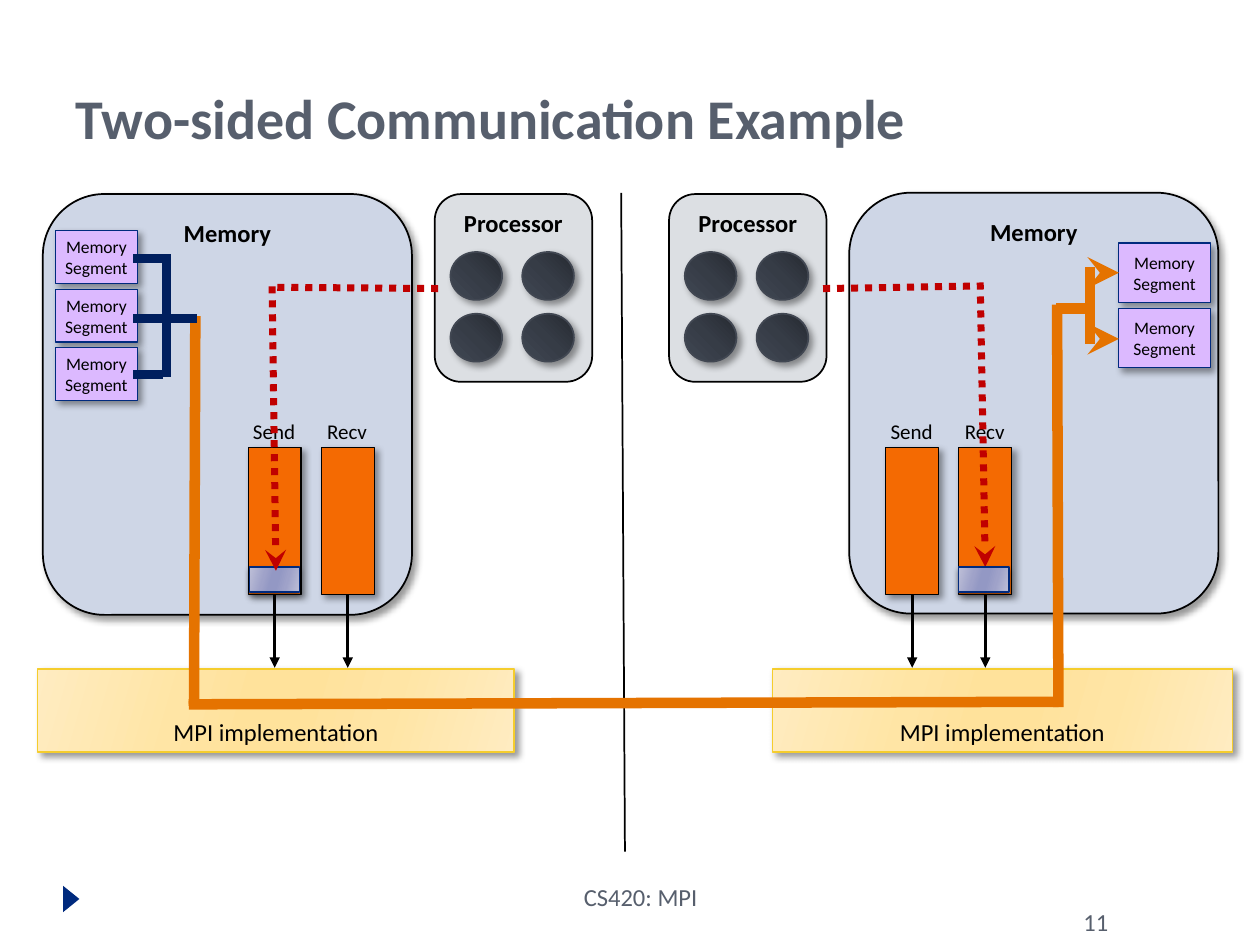
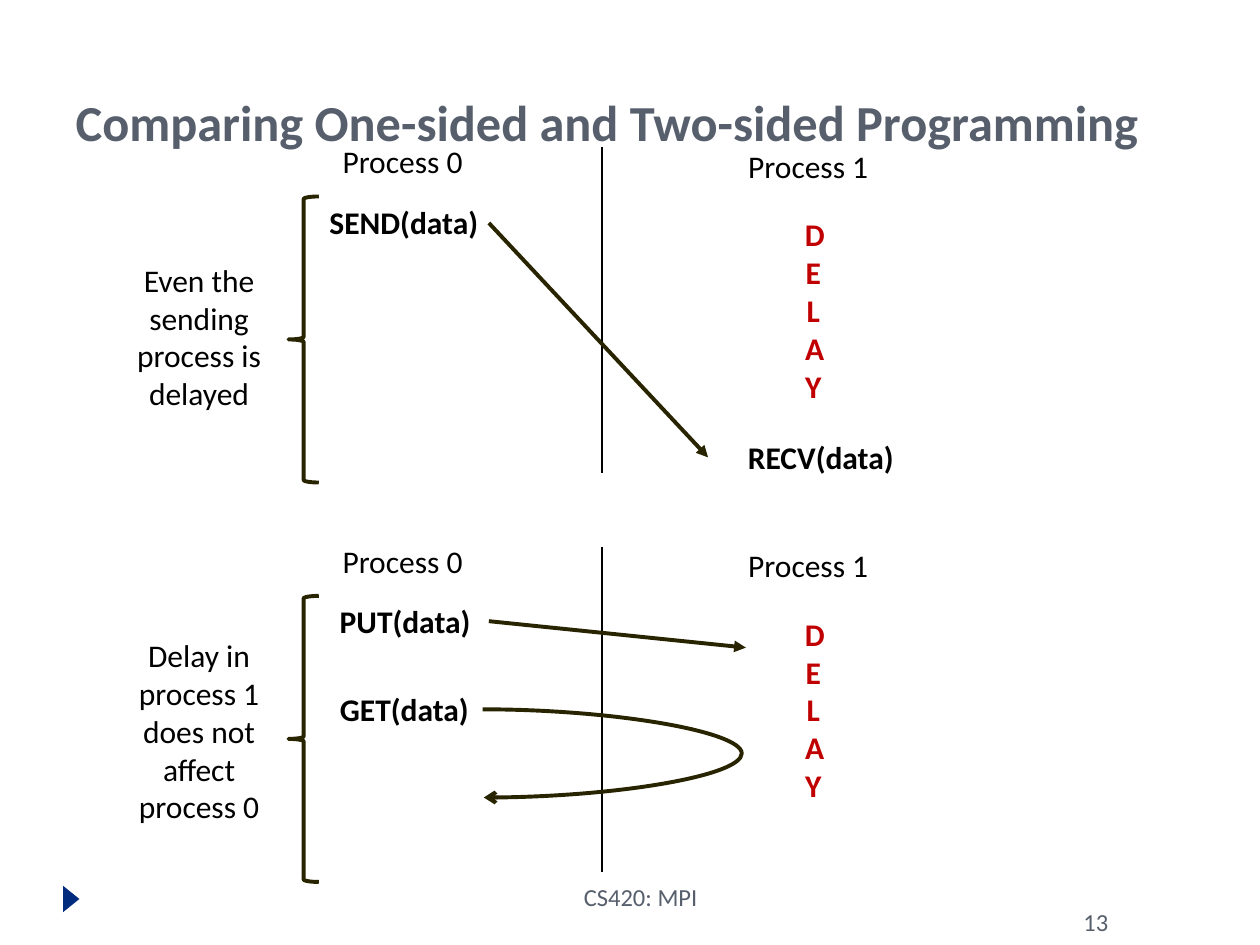
from dataclasses import dataclass
from lxml import etree
from pptx import Presentation
from pptx import util as u
from pptx.dml.color import RGBColor
from pptx.enum import shapes, text
from pptx.oxml.ns import qn

COLUMNS, ROWS = 100, 75
TITLE_ONLY = 5
FORM = shapes.MSO_SHAPE
TOP, MIDDLE, BOTTOM = (text.MSO_ANCHOR.TOP, text.MSO_ANCHOR.MIDDLE,
                       text.MSO_ANCHOR.BOTTOM)
LEFT, CENTER = text.PP_ALIGN.LEFT, text.PP_ALIGN.CENTER


def glow(edge, mid, center):
    return 16, [(0, edge), (30, mid), (45, center), (55, center), (73, mid), (100, edge)]


@dataclass(frozen=True)
class Theme:
    font: str = "Calibri"
    ink: str = "000000"
    heading: str = "575F6D"
    navy: str = "002A7E"
    wire: str = "001F5E"
    memory: str = "CED6E6"
    processor: str = "DCDFE3"
    segment: str = "DCB9FF"
    queue: str = "F46A02"
    cable: str = "E57300"
    alert: str = "C00000"
    olive: str = "292400"
    gold: str = "F5CD2D"
    core_edge: str = "414752"
    mpi: tuple = glow("FFECC1", "FFE5A5", "FFE29B")
    message: tuple = glow("BEC0D8", "9FA2C9", "9398C4")
    core: tuple = (135, [(0, "262A31"), (50, "363C46"), (100, "404753")])
    soft: tuple = (4, 3, 45)
    drop: tuple = (3, 2, 90)
    title_size: float = 32
    long_title_size: float = 28.8
    body_size: float = 18
    label_size: float = 14
    queue_size: float = 12
    segment_size: float = 10


class Deck:
    def __init__(self, theme):
        self.theme = theme
        self.show = Presentation()
        self.show.slide_width, self.show.slide_height = u.Inches(10), u.Inches(7.5)
        self.slide = None

    def grid(self, *values):
        steps = (self.show.slide_width / COLUMNS, self.show.slide_height / ROWS)
        return [round(value * steps[i % 2]) for i, value in enumerate(values)]

    def new_slide(self, title, number, size):
        self.slide = self.show.slides.add_slide(self.show.slide_layouts[TITLE_ONLY])
        heading = self.slide.shapes.title
        heading.left, heading.top, heading.width, heading.height = self.grid(5, 2.5, 90, 10)
        self.set_words(heading, title, size, self.theme.heading, True, LEFT, BOTTOM, True)
        marker = self.shape(FORM.ISOSCELES_TRIANGLE, (4.6, 70.7, 2.1, 1.3), self.theme.navy)
        marker.rotation = 90
        small = self.theme.label_size
        self.label(str(number), (85, 71.5, 10.8, 2.7), small, self.theme.heading,
                   align=LEFT, wrap=True, grow=False)
        self.label("CS420: MPI", (31.7, 69.5, 38.3, 4), small, self.theme.heading,
                   wrap=True, grow=False)

    def set_words(self, holder, words, size, color=None, bold=False, align=CENTER,
                  anchor=TOP, wrap=False, grow=False):
        frame = holder.text_frame
        frame.text = words
        frame.word_wrap = wrap
        frame.auto_size = (text.MSO_AUTO_SIZE.SHAPE_TO_FIT_TEXT if grow
                           else text.MSO_AUTO_SIZE.NONE)
        frame.vertical_anchor = anchor
        for paragraph in frame.paragraphs:
            paragraph.alignment = align
            font = paragraph.font
            font.name, font.size, font.bold = self.theme.font, u.Pt(size), bold
            font.color.rgb = RGBColor.from_string(color or self.theme.ink)

    def label(self, words, box, size, color=None, bold=False, align=CENTER,
              wrap=False, grow=True):
        holder = self.slide.shapes.add_textbox(*self.grid(*box))
        self.set_words(holder, words, size, color, bold, align, TOP, wrap, grow)

    def shape(self, form, box, fill=None, edge=None, weight=0.75, shadow=None):
        part = self.slide.shapes.add_shape(form, *self.grid(*box))
        part.shadow.inherit = False
        if fill is None:
            part.fill.background()
        elif isinstance(fill, str):
            part.fill.solid()
            part.fill.fore_color.rgb = RGBColor.from_string(fill)
        else:
            self.gradient(part, *fill)
        if edge:
            part.line.color.rgb = RGBColor.from_string(edge)
            part.line.width = u.Pt(weight)
        else:
            part.line.fill.background()
        if shadow:
            self.cast_shadow(part, *shadow)
        return part

    def gradient(self, part, angle, stops):
        part.fill.gradient()
        part.fill.gradient_angle = 360 - angle
        ramp = part._element.spPr.find(qn("a:gradFill")).find(qn("a:gsLst"))
        for stop in list(ramp):
            ramp.remove(stop)
        for place, color in stops:
            stop = etree.SubElement(ramp, qn("a:gs"), pos=str(place * 1000))
            etree.SubElement(stop, qn("a:srgbClr"), val=color)

    def cast_shadow(self, part, blur, distance, angle):
        effects = part._element.spPr.find(qn("a:effectLst"))
        outer = etree.SubElement(effects, qn("a:outerShdw"), blurRad=str(u.Pt(blur)),
                                 dist=str(u.Pt(distance)), dir=str(angle * 60000),
                                 algn="tl", rotWithShape="0")
        color = etree.SubElement(outer, qn("a:srgbClr"), val=self.theme.ink)
        etree.SubElement(color, qn("a:alpha"), val="40000")

    def line(self, start, end, color=None, weight=1, tip=None, dash=None,
             square=False, bend=None):
        kind = shapes.MSO_CONNECTOR.CURVE if bend else shapes.MSO_CONNECTOR.STRAIGHT
        link = self.slide.shapes.add_connector(kind, *self.grid(*start, *end))
        link.line.color.rgb = RGBColor.from_string(color or self.theme.ink)
        link.line.width = u.Pt(weight)
        properties = link._element.spPr
        stroke = properties.find(qn("a:ln"))
        if square:
            stroke.set("cap", "sq")
        if dash:
            etree.SubElement(stroke, qn("a:prstDash"), val=dash)
        if tip:
            etree.SubElement(stroke, qn("a:tailEnd"), type=tip)
        if bend:
            guides = properties.find(qn("a:prstGeom")).find(qn("a:avLst"))
            etree.SubElement(guides, qn("a:gd"), name="adj1",
                             fmla=f"val {round(bend * 100000)}")
        etree.SubElement(properties, qn("a:effectLst"))

    def memory(self, left, top):
        block = self.shape(FORM.ROUNDED_RECTANGLE, (left, top, 29.3, 33.4),
                           self.theme.memory, self.theme.ink, 1, self.theme.soft)
        self.set_words(block, "Memory", self.theme.label_size, bold=True)

    def implementation(self, left, width):
        band = self.shape(FORM.RECTANGLE, (left, 53.1, width, 6.6), self.theme.mpi,
                          self.theme.gold, shadow=self.theme.soft)
        self.set_words(band, "MPI implementation", self.theme.label_size, anchor=BOTTOM)

    def queue(self, name, left):
        self.shape(FORM.RECTANGLE, (left, 35.5, 4.2, 11.7), self.theme.queue,
                   self.theme.ink, shadow=self.theme.soft)
        self.line((left + 2.1, 47.2), (left + 2.1, 53), weight=1.75, tip="triangle")
        self.label(name, (left - 0.7, 32.7, 5.5, 3), self.theme.queue_size)

    def processor(self, left):
        chip = self.shape(FORM.ROUNDED_RECTANGLE, (left, 15.4, 12.5, 14.9),
                          self.theme.processor, self.theme.ink, 1)
        self.set_words(chip, "Processor", self.theme.label_size, bold=True)
        for row in range(2):
            for column in range(2):
                self.shape(FORM.OVAL, (left + 1.25 + 5.7 * column, 20 + 4.9 * row, 4.1, 3.8),
                           self.theme.core, self.theme.core_edge, 1, self.theme.soft)

    def message(self, left):
        self.shape(FORM.RECTANGLE, (left, 45, 4, 2), self.theme.message,
                   self.theme.navy, shadow=self.theme.drop)

    def segment(self, left, top, width, height):
        block = self.shape(FORM.RECTANGLE, (left, top, width, height), self.theme.segment,
                           self.theme.navy, shadow=self.theme.soft)
        self.set_words(block, "Memory\nSegment", self.theme.segment_size, anchor=MIDDLE)

    def wires(self, color, weight, *routes):
        for start, end in routes:
            self.line(start, end, color, weight, square=True)

    def signal(self, start, corner, turn, end):
        red = self.theme.alert
        self.line(start, corner, red, 4, dash="sysDot", square=True)
        self.line(turn, end, red, 4, "stealth", "sysDot", True)

    def scenario(self, top, note, note_top, note_height):
        size = self.theme.body_size
        self.label("Process 0", (26.2, top, 12.5, 4), size, align=LEFT)
        self.label("Process 1", (58.4, top + 0.35, 14.4, 4), size, align=LEFT, wrap=True)
        self.line((47.8, top + 0.9), (47.8, top + 26.7))
        self.label("DELAY", (62.9, top + 5.8, 3.3, 16.2), size, self.theme.alert,
                   True, wrap=True)
        self.shape(FORM.LEFT_BRACE, (22.9, top + 4.8, 2.4, 22.7),
                   edge=self.theme.olive, weight=2.25)
        self.label(note, (8.7, note_top, 14.2, note_height), size, wrap=True)

    def call(self, words, left, top, width):
        self.label(words, (left, top, width, 4), self.theme.body_size, bold=True)

    def transfer(self, start, end, tip="triangle", bend=None):
        self.line(start, end, self.theme.olive, 2.25, tip, bend=bend)


def two_sided(deck):
    theme = deck.theme
    deck.new_slide("Two-sided Communication Example", 11, theme.title_size)
    deck.implementation(61.3, 36.5)
    deck.memory(3.4, 15.4)
    deck.memory(67.4, 15.3)
    deck.implementation(3, 37.8)
    deck.line((49.3, 15.3), (49.6, 67.6))
    for first_queue, second_queue, chip in ((19.7, 25.5, 34.5), (70.3, 76.1, 53.1)):
        deck.queue("Send", first_queue)
        deck.queue("Recv", second_queue)
        deck.processor(chip)
    deck.message(19.8)
    deck.signal((34.5, 22.9), (21.8, 22.8), (21.6, 23), (21.9, 45.3))
    deck.signal((65.6, 22.9), (77.8, 22.7), (77.8, 22.7), (78.2, 45))
    deck.message(76.1)

    deck.wires(theme.cable, 6, ((15.5, 25.5), (15.4, 55.6)), ((15.4, 55.9), (83.6, 55.7)),
               ((84, 55.7), (83.9, 24.6)))
    for step in range(3):
        deck.segment(4.4, 18.3 + 4.65 * step, 6.5, 4.2)
    for step in range(2):
        deck.segment(88.8, 19.3 + 5.2 * step, 7.25, 4.7)

    deck.wires(theme.wire, 5, *(((10.9, row), (12.6, row)) for row in (20.5, 25.3, 29.7)),
               ((13.7, 25.3), (15.3, 25.3)), ((13.2, 20.5), (13.2, 29.6)))
    deck.wires(theme.cable, 6, ((84.2, 24.5), (86.2, 24.5)), ((86.5, 26.9), (86.5, 21.6)))
    for row in (21.65, 26.9):
        deck.line((86.6, row), (88.8, row), theme.cable, 6, "stealth", square=True)


def one_sided(deck):
    deck.new_slide("Comparing One-sided and Two-sided Programming", 13,
                   deck.theme.long_title_size)
    deck.scenario(10.8, "Even the sending process is delayed", 20.2, 13.1)
    deck.call("SEND(data)", 25.1, 15.6, 13.9)
    deck.call("RECV(data)", 58.3, 34.3, 13.7)
    deck.transfer((38.8, 17.7), (56.2, 36.3))

    deck.scenario(42.5, "Delay in process 1 does not affect process 0", 50, 16.2)
    deck.call("PUT(data)", 25.9, 47.3, 12.5)
    deck.call("GET(data)", 25.9, 54.3, 12.4)
    deck.transfer((38.8, 49.3), (59.2, 51.4))
    deck.transfer((38.3, 56.3), (38.4, 63.3), "arrow", 209)


deck = Deck(Theme())
two_sided(deck)
one_sided(deck)
deck.show.save("out.pptx")
